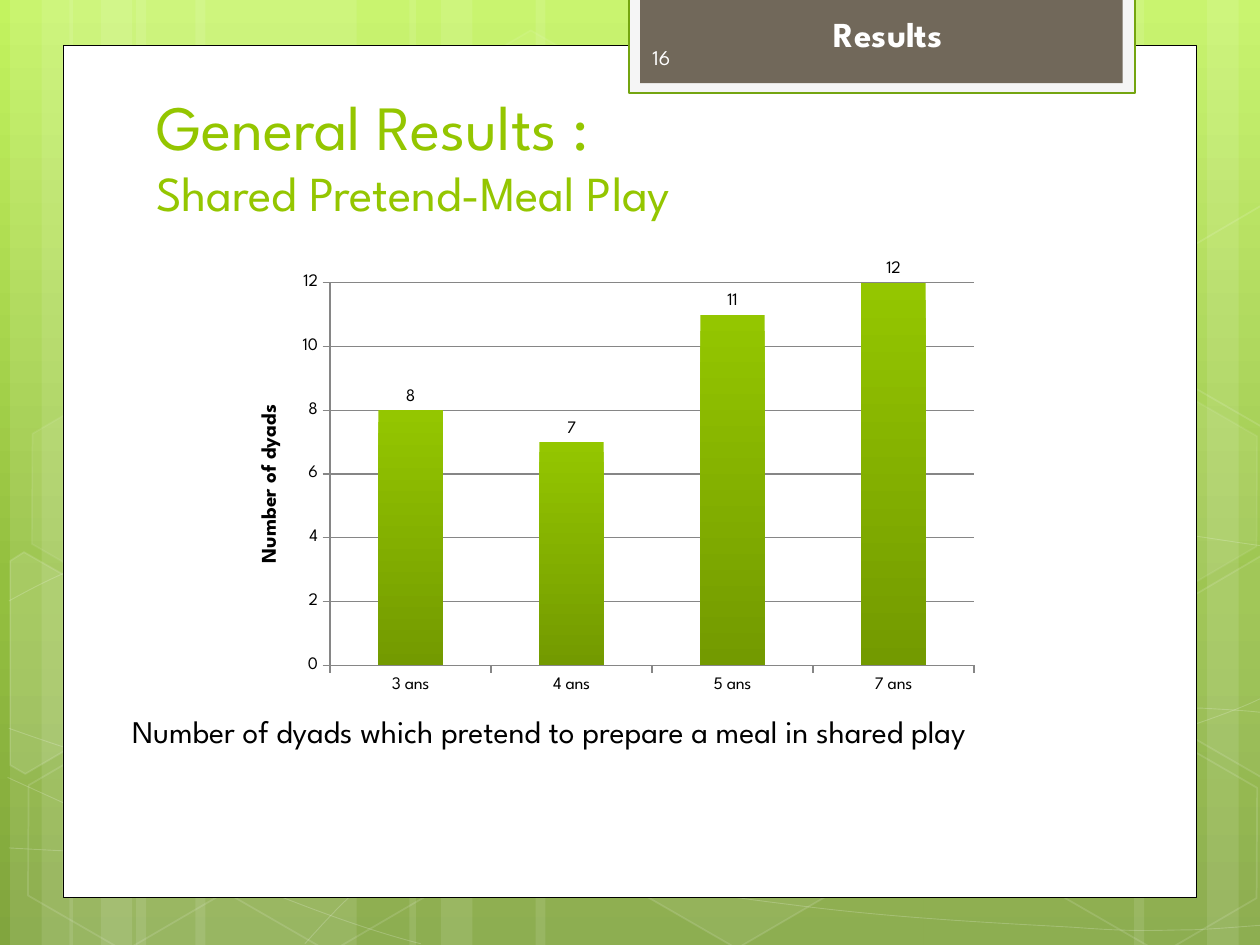
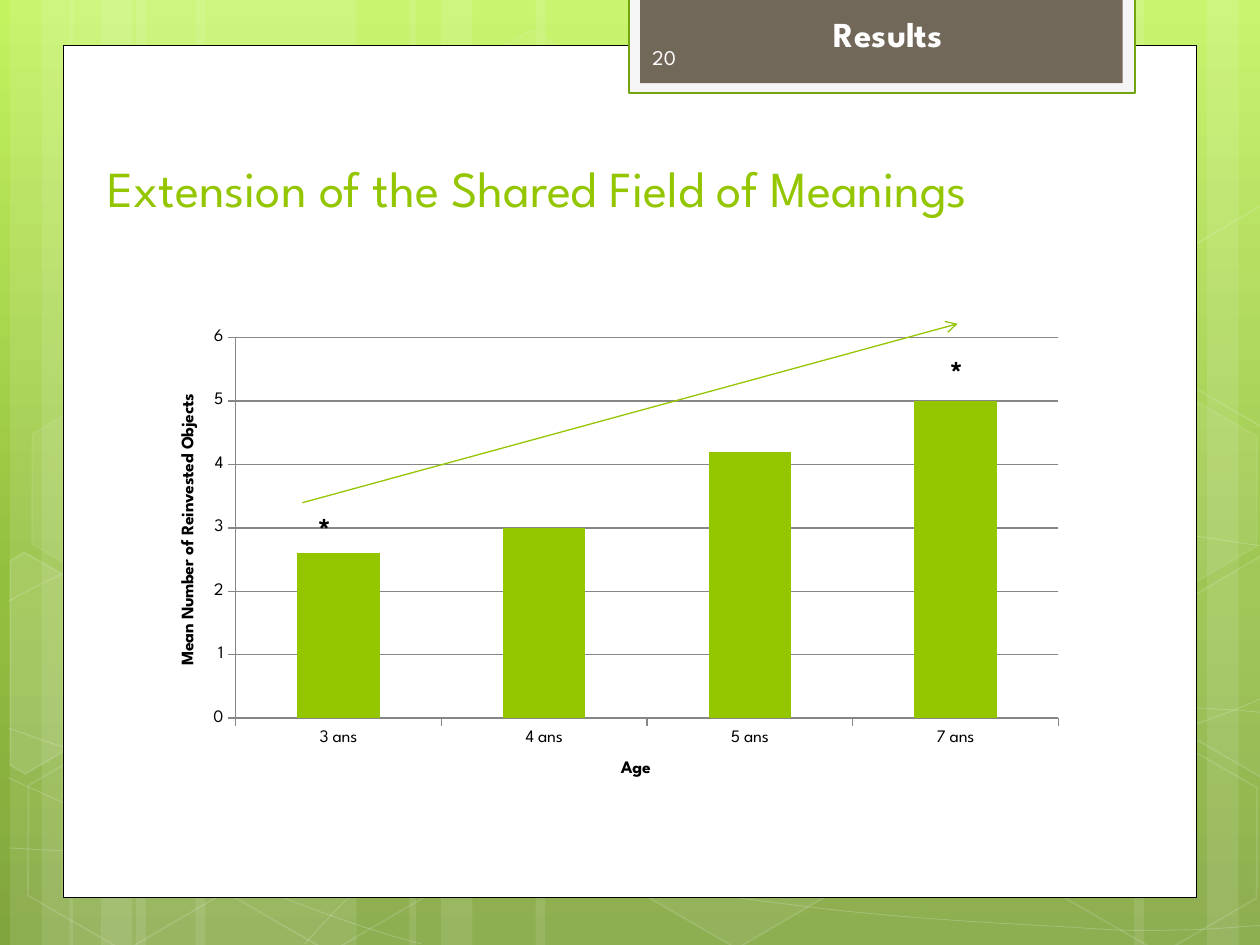
import copy
import math
import pptx
import pptx.chart.data
import pptx.dml.color
import pptx.enum.chart
import pptx.enum.shapes
import pptx.enum.text
import pptx.oxml.ns
import pptx.util
from lxml import etree

COLUMNS, ROWS = 10, 7.5
FONT = "League Spartan"
GREEN, WHITE, BLACK, GRID_GRAY = "94C600", "FFFFFF", "000000", "868686"
SKY = [(0, "C3F35F"), (0.62, "93BF3F"), (1, "81A53E")]
BAR_SHADE = [(0, GREEN), (1, "739A00")]

STRIPES = [
    (1.08, 1.75, 0), (0.08, 0.5, 0), (0.33, 0.83, 0), (1.55, 1.75, 0), (0.55, 0.5, 0), (0.8, 0.83, 0),
    (7.33, 1.75, 180), (9.58, 0.5, 180), (9, 0.83, 180), (4.25, 3.08, 0), (3.25, 0.5, 0), (3.5, 0.83, 0),
]
CURVES = [
    [(0.07, 6.73), (0.61, 6.76), (1.15, 6.79), (1.9, 6.78), (2.65, 6.77), (3.58, 6.75), (4.58, 6.65),
     (5.58, 6.55), (7, 6.36), (7.92, 6.17), (8.83, 5.98), (9.77, 5.68), (10.07, 5.51)],
    [(0.07, 4.77), (0.36, 4.61), (0.65, 4.46), (1.21, 4.31), (1.78, 4.16), (2.59, 3.94), (3.47, 3.87),
     (4.36, 3.8), (5.44, 3.79), (6.54, 3.87), (7.64, 3.95), (9.47, 4.26), (10.07, 4.34)],
    [(0.06, 6.17), (1.27, 6.72), (2.47, 7.27), (3.34, 7.49)],
    [(0.07, 5.78), (0.38, 5.89), (0.7, 6), (1.28, 6.16), (1.86, 6.31), (2.73, 6.56), (3.57, 6.73),
     (4.4, 6.9), (5.45, 7.08), (6.28, 7.18), (7.11, 7.29), (8, 7.33), (8.53, 7.36),
     (9.05, 7.4), (9.19, 7.38), (9.45, 7.38), (9.71, 7.37), (9.89, 7.35), (10.07, 7.34)],
    [(2.42, 7.49), (2.6, 7.29), (2.78, 7.09), (3.02, 6.91), (3.26, 6.73), (3.6, 6.53), (3.88, 6.39),
     (4.16, 6.25), (4.33, 6.19), (4.7, 6.09), (5.06, 5.99), (5.73, 5.85), (6.08, 5.78),
     (6.44, 5.71), (6.49, 5.71), (6.8, 5.69), (7.11, 5.66), (7.6, 5.63), (7.94, 5.62),
     (8.29, 5.61), (8.86, 5.62), (8.86, 5.62), (8.86, 5.62), (9.53, 5.62), (9.53, 5.62),
     (9.71, 5.63), (9.88, 5.64), (9.97, 5.65), (10.06, 5.66), (10.03, 5.65), (10.06, 5.66)],
]
TILT = 30
HEXAGON_SIZE = (1.75, 1.52)
HEXAGONS = [
    (3.34, 0.36, 4, 8), (4.97, 5.89, 6, 12), (0.11, 5.91, 0, 12), (0.14, 3.12, 7, 8), (1.74, 5.92, 0, 12),
    (7.53, 4.53, 10, 12), (8.34, 5.93, 0, 12), (8.34, 3.14, 7, 8),
]
CUT_HEXAGONS = [
    ((0.36, 5.35), [(0.08, 4.45), (0.19, 4.38), (0.96, 4.82), (0.95, 5.7), (0.2, 6.14), (0.08, 6.07)], 10),
    ((9.85, 5.2), [(9.26, 4.85), (10.01, 4.41), (10.09, 4.46), (10.09, 6.13), (10.02, 6.17), (9.26, 5.73)], 4),
    ((9.85, 2.41), [(9.26, 2.07), (10.01, 1.63), (10.1, 1.68), (10.09, 3.35), (10.02, 3.39), (9.26, 2.95)], 0),
]
PANELS = [
    ((0.5, 0.36, 9, 6.76), WHITE, BLACK, 0.5),
    ((4.99, -0.02, 4.02, 0.76), "F5F5F5", "74A510", 1.25),
    ((5.08, -0.02, 3.83, 0.68), "71685A", None, 0),
]

SECTION = "Results"
SECTION_AT = (5.16, 0.05, 3.78, 0.44)
NUMBER_AT = (5.08, 0.25, 1.46, 0.4)
AGES = ["3 ans", "4 ans", "5 ans", "7 ans"]
PAGES = [
    {
        "number": "16",
        "title": "General Results : \vShared Pretend-Meal Play",
        "title_at": (1.14, 1.07, 7.68, 0.74),
        "title_sizes": [36, 27.9],
        "bars": {
            "at": (1.85, 2.08, 6, 3.5), "plot": (2.62, 2.24, 5.11, 3.04),
            "values": [8, 7, 11, 12], "top": 12, "step": 2,
            "value_title": ("Number of dyads", 12, None), "age_title": None,
            "labels": True, "shade": BAR_SHADE,
        },
        "notes": [((0.95, 5.6, 8.3, 0.4), "Number of dyads which pretend to prepare a meal in shared play", 18, False)],
        "trend": None,
    },
    {
        "number": "20",
        "title": "Extension of the Shared Field of Meanings",
        "title_at": (0.75, 1.12, 8.58, 0.66),
        "title_sizes": [28.8],
        "bars": {
            "at": (1.14, 2.54, 7.41, 3.84), "plot": (1.87, 2.68, 6.53, 3.02),
            "values": [2.6, 3, 4.2, 5], "top": 6, "step": 1,
            "value_title": ("Mean Number of Reinvested Objects", 10, (1.4, 3.1)),
            "age_title": ("Age", 10, None),
            "labels": False, "shade": None,
        },
        "notes": [((2.42, 3.99, 0.32, 0.44), "*", 20, True), ((7.44, 2.74, 0.32, 0.44), "*", 20, True)],
        "trend": (2.4, 3.99, 7.6, 2.57),
    },
]

deck = pptx.Presentation()
deck.slide_width = pptx.util.Inches(COLUMNS)
deck.slide_height = pptx.util.Inches(ROWS)
CELL = deck.slide_width / COLUMNS
qn = pptx.oxml.ns.qn
Anchor = pptx.enum.text.MSO_ANCHOR
Align = pptx.enum.text.PP_ALIGN
Shapes = pptx.enum.shapes.MSO_SHAPE


def color(code):
    return pptx.dml.color.RGBColor.from_string(code)


def grid(lengths):
    return [round(length * CELL) for length in lengths]


def fade(solid, percent):
    if percent < 100:
        etree.SubElement(solid.find(qn("a:srgbClr")), qn("a:alpha"), val=str(percent * 1000))


def dress(shape, fill=None, fill_alpha=100, line=None, width=1, line_alpha=100):
    shape.shadow.inherit = False
    properties = shape.element.spPr
    if fill:
        shape.fill.solid()
        shape.fill.fore_color.rgb = color(fill)
        fade(properties.find(qn("a:solidFill")), fill_alpha)
    else:
        shape.fill.background()
    if line:
        shape.line.color.rgb = color(line)
        shape.line.width = pptx.util.Pt(width)
        fade(properties.find(qn("a:ln")).find(qn("a:solidFill")), line_alpha)
    else:
        shape.line.fill.background()


def shade(fill, stops, owner):
    fill.gradient()
    fill.gradient_angle = 270
    stop_list = next(owner.iter(qn("a:gsLst")))
    while len(stop_list) < len(stops):
        stop_list.append(copy.deepcopy(stop_list[-1]))
    for stop, (position, code) in zip(fill.gradient_stops, stops):
        stop.position = position
        stop.color.rgb = color(code)


def style(font, size, code, bold=False):
    font.name = FONT
    font.size = pptx.util.Pt(size)
    font.bold = bold
    font.color.rgb = color(code)


def outline(slide, points, close):
    corners = [grid(point) for point in points]
    builder = slide.shapes.build_freeform(*corners[0])
    builder.add_line_segments(corners[1:], close=close)
    return builder.convert_to_shape()


def bend(curve_shape, points):
    segments = list(next(curve_shape.element.iter(qn("a:path"))))[1:]
    for i in range(0, len(segments), 3):
        start, first, second, end = points[i:i + 4]
        lead, middle, last = segments[i:i + 3]
        track = lead.getparent()
        if (first, second) == (start, end):
            track.remove(lead)
            track.remove(middle)
            continue
        bezier = etree.Element(qn("a:cubicBezTo"))
        track.replace(lead, bezier)
        for segment in (lead, middle, last):
            bezier.append(segment[0])
        track.remove(middle)
        track.remove(last)


def untilt(point, center):
    angle = math.radians(-TILT)
    dx, dy = point[0] - center[0], point[1] - center[1]
    return (center[0] + dx * math.cos(angle) - dy * math.sin(angle),
            center[1] + dx * math.sin(angle) + dy * math.cos(angle))


def draw_backdrop(slide):
    for left, width, turn in STRIPES:
        stripe = slide.shapes.add_shape(Shapes.RECTANGLE, *grid((left, 0, width, ROWS)))
        stripe.rotation = turn
        dress(stripe, WHITE, 10)
    for points in CURVES:
        curve = outline(slide, points, False)
        bend(curve, points)
        dress(curve, line=WHITE, width=0.5, line_alpha=20)
    for left, top, fill_alpha, line_alpha in HEXAGONS:
        hexagon = slide.shapes.add_shape(Shapes.HEXAGON, *grid((left, top, *HEXAGON_SIZE)))
        hexagon.adjustments[0] = 0.285
        hexagon.rotation = TILT
        dress(hexagon, WHITE if fill_alpha else None, fill_alpha, WHITE, 1, line_alpha)
    for center, corners, fill_alpha in CUT_HEXAGONS:
        cut = outline(slide, [untilt(corner, center) for corner in corners], True)
        cut.rotation = TILT
        dress(cut, WHITE if fill_alpha else None, fill_alpha, WHITE, 1, 12)
    for at, fill, line, width in PANELS:
        dress(slide.shapes.add_shape(Shapes.RECTANGLE, *grid(at)), fill, line=line, width=width)


def share_backdrop(slide):
    layout = slide.slide_layout
    shade(layout.background.fill, SKY, layout.element)
    for spare in list(layout.placeholders)[1:]:
        layout.shapes.element.remove(spare.element)
    draw_backdrop(slide)
    for part in list(slide.shapes):
        if not part.is_placeholder:
            layout.shapes.element.append(part.element)


def write(slide, at, text, size, code, bold=False, align=Align.LEFT, anchor=Anchor.TOP, wrap=True):
    frame = slide.shapes.add_textbox(*grid(at)).text_frame
    frame.word_wrap = wrap
    frame.vertical_anchor = anchor
    frame.text = text
    frame.paragraphs[0].alignment = align
    style(frame.paragraphs[0].runs[0].font, size, code, bold)


def set_title(slide, page):
    title = slide.shapes.title
    title.left, title.top, title.width, title.height = grid(page["title_at"])
    frame = title.text_frame
    frame.text = page["title"]
    frame.auto_size = pptx.enum.text.MSO_AUTO_SIZE.NONE
    frame.vertical_anchor = Anchor.BOTTOM
    heading = frame.paragraphs[0]
    heading.alignment = Align.LEFT
    for run, size in zip(heading.runs, page["title_sizes"]):
        style(run.font, size, GREEN)


def fix_layout(owner, index, chart_at, spot, inner=False):
    for old in owner.findall(qn("c:layout")):
        owner.remove(old)
    place = etree.Element(qn("c:layout"))
    owner.insert(index, place)
    manual = etree.SubElement(place, qn("c:manualLayout"))
    left, top, width, height = chart_at
    shares = [(spot[0] - left) / width, (spot[1] - top) / height]
    shares += [length / whole for length, whole in zip(spot[2:], (width, height))]
    target = [("layoutTarget", "inner")] if inner else []
    for key, value in [*target, ("xMode", "edge"), ("yMode", "edge"), *zip("xywh", shares)]:
        etree.SubElement(manual, qn("c:" + key), val=str(value))


def set_axis(axis, caption, turn, chart_at):
    axis.major_tick_mark = pptx.enum.chart.XL_TICK_MARK.OUTSIDE
    axis.format.line.color.rgb = color(GRID_GRAY)
    axis.has_title = caption is not None
    if caption:
        text, size, spot = caption
        frame = axis.axis_title.text_frame
        frame.text = text
        style(frame.paragraphs[0].runs[0].font, size, BLACK, True)
        holder = axis.axis_title.element
        next(holder.iter(qn("a:bodyPr"))).set("rot", str(turn * 60000))
        if spot:
            fix_layout(holder, 1, chart_at, spot)


def add_bars(slide, bars):
    data = pptx.chart.data.CategoryChartData()
    data.categories = AGES
    data.add_series("Series 1", bars["values"])
    kind = pptx.enum.chart.XL_CHART_TYPE.COLUMN_CLUSTERED
    chart = slide.shapes.add_chart(kind, *grid(bars["at"]), data).chart
    chart.has_title = chart.has_legend = False
    style(chart.font, 10, BLACK)
    set_axis(chart.category_axis, bars["age_title"], 0, bars["at"])
    scale = chart.value_axis
    set_axis(scale, bars["value_title"], -90, bars["at"])
    scale.minimum_scale, scale.maximum_scale, scale.major_unit = 0, bars["top"], bars["step"]
    scale.major_gridlines.format.line.color.rgb = color(GRID_GRAY)
    plot = chart.plots[0]
    plot.gap_width = 150
    plot.vary_by_categories = False
    fill = plot.series[0].format.fill
    if bars["shade"]:
        shade(fill, bars["shade"], chart.element)
    else:
        fill.solid()
        fill.fore_color.rgb = color(GREEN)
    if bars["labels"]:
        plot.has_data_labels = True
        plot.data_labels.show_value = True
        plot.data_labels.position = pptx.enum.chart.XL_LABEL_POSITION.OUTSIDE_END
        style(plot.data_labels.font, 10, BLACK)
    fix_layout(next(chart.element.iter(qn("c:plotArea"))), 0, bars["at"], bars["plot"], True)


def add_trend(slide, ends):
    trend = slide.shapes.add_connector(pptx.enum.shapes.MSO_CONNECTOR.STRAIGHT, *grid(ends))
    trend.line.color.rgb = color(GREEN)
    trend.line.width = pptx.util.Pt(0.75)
    properties = trend.element.spPr
    etree.SubElement(properties.find(qn("a:ln")), qn("a:tailEnd"), type="arrow")
    etree.SubElement(properties, qn("a:effectLst"))


for page in PAGES:
    slide = deck.slides.add_slide(deck.slide_layouts[5])
    if page is PAGES[0]:
        share_backdrop(slide)
    set_title(slide, page)
    write(slide, SECTION_AT, SECTION, 20, WHITE, True, Align.CENTER)
    write(slide, NUMBER_AT, page["number"], 12, "FEFEFE", anchor=Anchor.MIDDLE)
    add_bars(slide, page["bars"])
    if page["trend"]:
        add_trend(slide, page["trend"])
    for at, text, size, bold in page["notes"]:
        write(slide, at, text, size, BLACK, bold, wrap=False)
deck.save("out.pptx")
